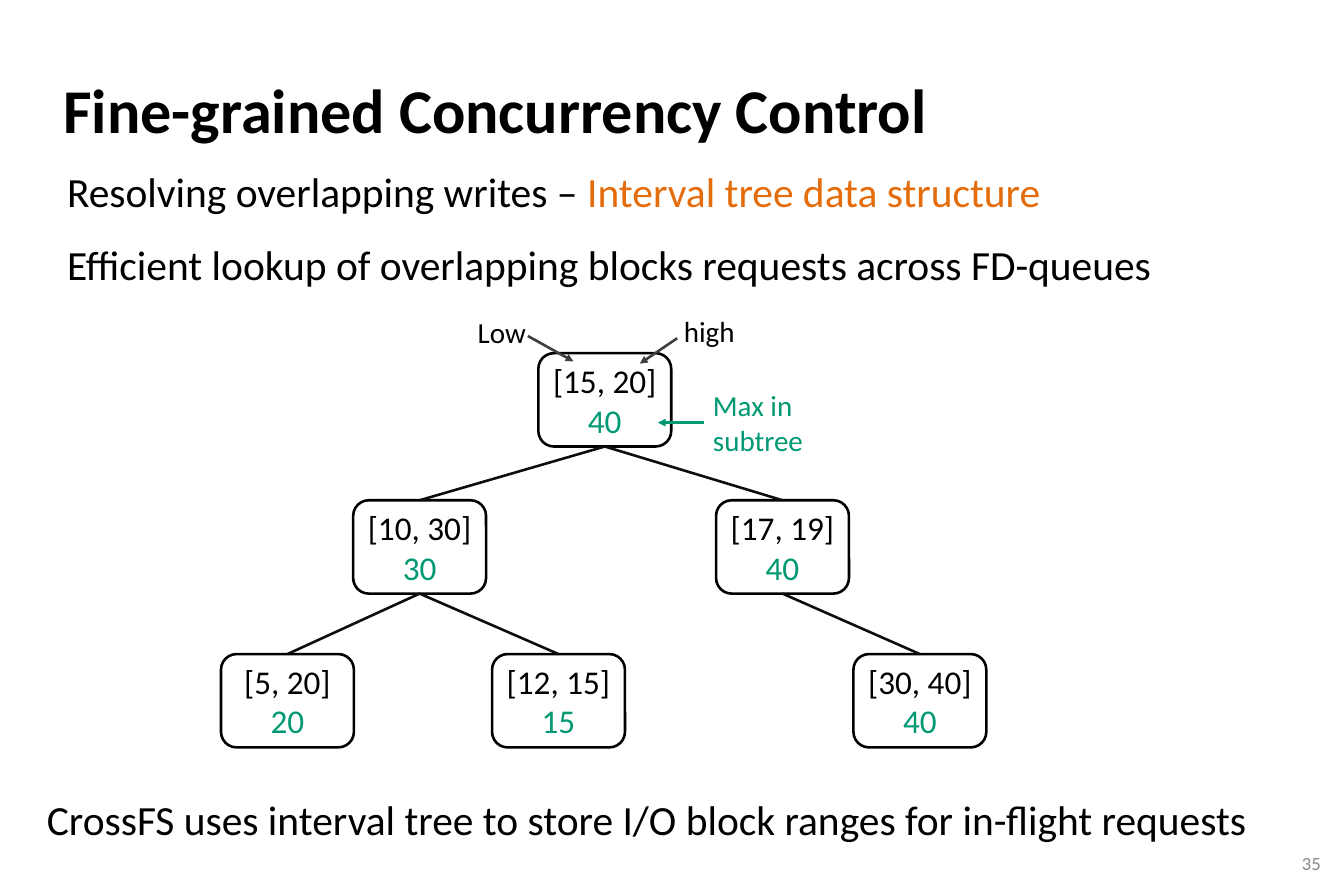
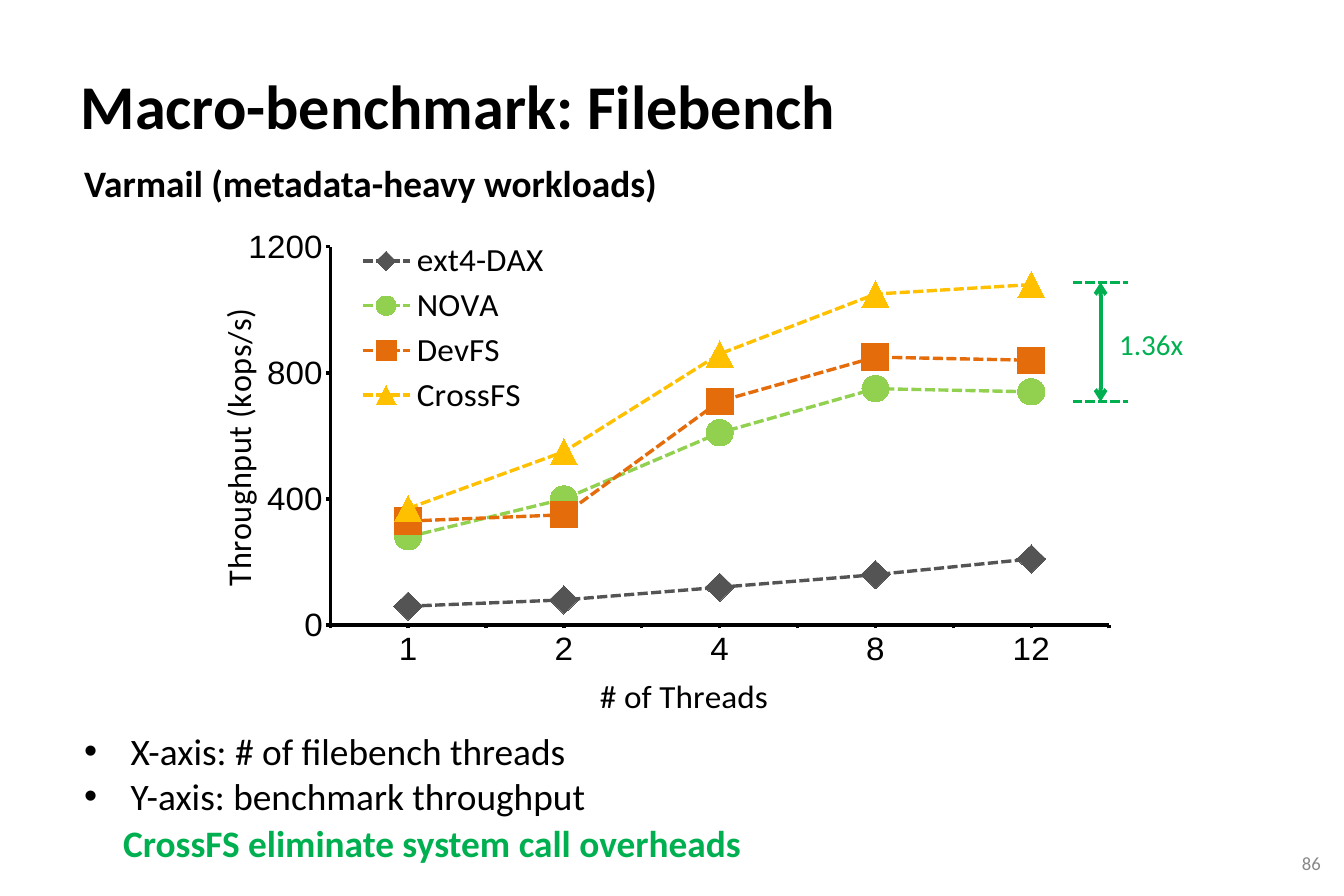
from lxml import etree
from pptx import Presentation
from pptx.chart.data import CategoryChartData
from pptx.dml.color import RGBColor
from pptx.enum.chart import XL_CHART_TYPE as ChartType, XL_LEGEND_POSITION as LegendPosition
from pptx.enum.chart import XL_MARKER_STYLE as Marker, XL_TICK_MARK as Tick
from pptx.enum.dml import MSO_LINE as Dash
from pptx.enum.shapes import MSO_CONNECTOR as Connector, MSO_SHAPE as Shape
from pptx.enum.text import MSO_ANCHOR as Anchor, MSO_AUTO_SIZE as AutoSize, PP_ALIGN as Align
from pptx.oxml.ns import qn
from pptx.util import Inches, Pt

BLACK = RGBColor(0x00, 0x00, 0x00)
GRAY = RGBColor(0x88, 0x88, 0x88)
ORANGE = RGBColor(0xE4, 0x6C, 0x0A)
TEAL = RGBColor(0x00, 0x99, 0x73)
GREEN = RGBColor(0x00, 0xB0, 0x50)
EDGE = RGBColor(0x0D, 0x0D, 0x0D)
ARROW = RGBColor(0x3E, 0x3E, 0x3E)
DARK = RGBColor(0x54, 0x54, 0x54)
LIME = RGBColor(0x92, 0xD0, 0x50)
GOLD = RGBColor(0xFF, 0xC0, 0x00)

MARGINS = ("margin_left", "margin_top", "margin_right", "margin_bottom")
GROW = {"auto_size": AutoSize.SHAPE_TO_FIT_TEXT}
TITLE_FRAME = {name: Inches(0.05) for name in MARGINS}
NUMBER_FRAME = {name: Inches(0.06) for name in MARGINS} | {"vertical_anchor": Anchor.MIDDLE}


def add_text(shapes, box, paragraphs, size, bold=False, frame=GROW, layout={}, bullet=None):
    shape = shapes.add_textbox(*map(Inches, box)) if isinstance(box, tuple) else box
    text_frame = shape.text_frame
    text_frame.word_wrap = True
    for name, value in frame.items():
        setattr(text_frame, name, value)
    for index, runs in enumerate(paragraphs):
        paragraph = text_frame.add_paragraph() if index else text_frame.paragraphs[0]
        for name, value in layout.items():
            setattr(paragraph, name, value)
        if bullet:
            properties = paragraph._p.get_or_add_pPr()
            properties.set("marL", str(Inches(0.62)))
            properties.set("indent", str(-Inches(0.62)))
            etree.SubElement(properties, qn("a:buFont"), typeface="Arial")
            etree.SubElement(properties, qn("a:buChar"), char=bullet)
        for text, color in runs:
            run = paragraph.add_run()
            run.text = text
            for name, value in {"name": "Calibri", "size": Pt(size), "bold": bold}.items():
                setattr(run.font, name, value)
            run.font.color.rgb = color


def add_line(shapes, start, end, color, width=2.5, dash=None, ends={}):
    line = shapes.add_connector(Connector.STRAIGHT, *map(Inches, start + end))
    line.line.color.rgb = color
    line.line.width = Pt(width)
    if dash:
        line.line.dash_style = dash
    for tag, kind in ends.items():
        etree.SubElement(line.line._get_or_add_ln(), qn(f"a:{tag}"), type=kind)
    etree.SubElement(line._element.spPr, qn("a:effectLst"))


presentation = Presentation()
presentation.slide_width = Inches(18)
presentation.slide_height = Inches(12)

slides = []
for title, number, left, top in (
    ("Fine-grained Concurrency Control", "35", 0.8, 0.49),
    ("Macro-benchmark: Filebench", "86", 1.03, 0.44),
):
    slide = presentation.slides.add_slide(presentation.slide_layouts[6])
    add_text(slide.shapes, (left, top, 15.79, 1.26), [[(title, BLACK)]], 60, True,
             TITLE_FRAME, {"line_spacing": 1.41})
    add_text(slide.shapes, (17.32, 11.35, 0.43, 0.42), [[(number, GRAY)]], 18, False,
             NUMBER_FRAME, {"alignment": Align.RIGHT})
    slides.append(slide)
tree_slide, chart_slide = slides

for box, runs in (
    ((0.8, 2.17, 16.06, 0.77),
     [("Resolving overlapping writes – ", BLACK), ("Interval tree data structure", ORANGE)]),
    ((0.8, 3.15, 16.06, 0.77),
     [("Efficient lookup of overlapping blocks requests across FD-queues", BLACK)]),
    ((0.53, 10.58, 16.79, 0.77),
     [("CrossFS uses interval tree to store I/O block ranges for in-flight requests", BLACK)]),
):
    add_text(tree_slide.shapes, box, [runs], 40)

NODE_WIDTH, NODE_HEIGHT = 1.78, 1.25
LEVEL_TOPS = (4.73, 6.7, 8.76)
nodes = (
    ("[15, 20]", "40", 8.1, 0, None),
    ("[10, 30]", "30", 5.62, 1, 0),
    ("[17, 19]", "40", 10.48, 1, 0),
    ("[5, 20]", "20", 3.85, 2, 1),
    ("[12, 15]", "15", 7.48, 2, 1),
    ("[30, 40]", "40", 12.32, 2, 2),
)
for interval, maximum, center, level, parent in nodes:
    node = tree_slide.shapes.add_shape(
        Shape.ROUNDED_RECTANGLE, Inches(center - NODE_WIDTH / 2), Inches(LEVEL_TOPS[level]),
        Inches(NODE_WIDTH), Inches(NODE_HEIGHT))
    node.shadow.inherit = False
    node.fill.background()
    node.line.color.rgb = BLACK
    node.line.width = Pt(2.5)
    add_text(tree_slide.shapes, node, [[(interval, BLACK)], [(maximum, TEAL)]], 32,
             frame={"vertical_anchor": Anchor.MIDDLE}, layout={"alignment": Align.CENTER})
for interval, maximum, center, level, parent in nodes[1:]:
    start = (nodes[parent][2], LEVEL_TOPS[level - 1] + NODE_HEIGHT)
    add_line(tree_slide.shapes, start, (center, LEVEL_TOPS[level]), EDGE)

for label, box, text_color, start, end, line_color in (
    ("Low", (6.3, 4.16, 0.95, 0.57), BLACK, (7.07, 4.5), (7.68, 4.84), ARROW),
    ("high", (9.06, 4.15, 0.95, 0.57), BLACK, (9.07, 4.53), (8.57, 4.87), ARROW),
    ("Max in subtree", (9.45, 5.14, 1.49, 1.04), TEAL, (9.43, 5.66), (8.81, 5.66), TEAL),
):
    callout = tree_slide.shapes.add_group_shape()
    add_text(callout.shapes, box, [[(label, text_color)]], 28)
    add_line(callout.shapes, start, end, line_color, ends={"tailEnd": "triangle"})

add_text(chart_slide.shapes, (1.03, 2.1, 15.61, 0.71),
         [[("Varmail (metadata-heavy workloads)", BLACK)]], 36, True)

series_rows = (
    ("ext4-DAX", (60, 80, 120, 160, 210), DARK, Marker.DIAMOND, 28),
    ("NOVA", (280, 400, 610, 750, 740), LIME, Marker.CIRCLE, 26),
    ("DevFS", (330, 350, 710, 850, 840), ORANGE, Marker.SQUARE, 26),
    ("CrossFS", (370, 550, 860, 1050, 1080), GOLD, Marker.TRIANGLE, 26),
)
chart_data = CategoryChartData()
chart_data.categories = ["1", "2", "4", "8", "12"]
for name, values, *style in series_rows:
    chart_data.add_series(name, values)
chart = chart_slide.shapes.add_chart(
    ChartType.LINE_MARKERS, Inches(2.55), Inches(2.9), Inches(12.57), Inches(6.84),
    chart_data).chart
chart.has_title = False
chart.font.name = "Arial"
chart.font.size = Pt(12)
chart.font.color.rgb = BLACK
chart.plots[0].vary_by_categories = False

for series, (name, values, color, marker, size) in zip(chart.plots[0].series, series_rows):
    series.smooth = False
    series.format.line.color.rgb = color
    series.format.line.width = Pt(3.25)
    series.format.line.dash_style = Dash.SQUARE_DOT
    series.marker.style = marker
    series.marker.size = size
    series.marker.format.fill.solid()
    series.marker.format.fill.fore_color.rgb = color
    series.marker.format.line.fill.background()

chart.has_legend = True
chart.legend.position = LegendPosition.BOTTOM
chart.legend.include_in_layout = False
fonts = [(chart.legend.font, "Calibri")]

for axis, title, settings in (
    (chart.category_axis, "# of Threads",
     {"major_tick_mark": Tick.NONE, "minor_tick_mark": Tick.OUTSIDE}),
    (chart.value_axis, "Throughput (kops/s)",
     {"major_tick_mark": Tick.OUTSIDE, "minimum_scale": 0, "maximum_scale": 1200,
      "major_unit": 400}),
):
    for name, value in settings.items():
        setattr(axis, name, value)
    axis.has_major_gridlines = False
    axis.format.line.color.rgb = BLACK
    axis.format.line.width = Pt(3.25)
    text_frame = axis.axis_title.text_frame
    text_frame.text = title
    fonts += [(axis.tick_labels.font, "Arial"),
              (text_frame.paragraphs[0].runs[0].font, "Calibri")]
chart.value_axis.axis_title.text_frame._txBody.bodyPr.set("rot", "-5400000")

for font, typeface in fonts:
    for name, value in {"name": typeface, "size": Pt(32), "bold": False}.items():
        setattr(font, name, value)
    font.color.rgb = BLACK

for element, index, target, places in (
    (chart._chartSpace.chart.plotArea, 0, "inner", (0.149, 0.061, 0.83, 0.763)),
    (chart.legend._element, 1, None, (0.17, 0.04, 0.22, 0.37)),
    (chart.category_axis.axis_title._element, 1, None, (0.43, 0.91)),
    (chart.value_axis.axis_title._element, 1, None, (0.02, 0.19)),
):
    for default in element.findall(qn("c:layout")):
        element.remove(default)
    layout = etree.Element(qn("c:layout"))
    element.insert(index, layout)
    manual = etree.SubElement(layout, qn("c:manualLayout"))
    if target:
        etree.SubElement(manual, qn("c:layoutTarget"), val=target)
    for mode in ("xMode", "yMode"):
        etree.SubElement(manual, qn(f"c:{mode}"), val="edge")
    for name, value in zip("xywh", places):
        etree.SubElement(manual, qn(f"c:{name}"), val=str(value))

add_text(chart_slide.shapes, (1.55, 10.94, 9.95, 0.71),
         [[("CrossFS eliminate system call overheads", GREEN)]], 36, True)
add_text(chart_slide.shapes, (1.03, 9.7, 7.39, 1.31),
         [[("X-axis: # of filebench threads", BLACK)], [("Y-axis: benchmark throughput", BLACK)]],
         36, bullet="•")

speedup = chart_slide.shapes.add_group_shape()
for height in (3.78, 5.38):
    add_line(speedup.shapes, (14.37, height), (15.11, height), GREEN, 3, Dash.SQUARE_DOT)
add_line(speedup.shapes, (14.74, 3.78), (14.74, 5.38), GREEN, 3.75,
         ends={"headEnd": "arrow", "tailEnd": "arrow"})
add_text(speedup.shapes, (14.89, 4.33, 1.12, 0.57), [[("1.36x", GREEN)]], 28)

presentation.save("out.pptx")
